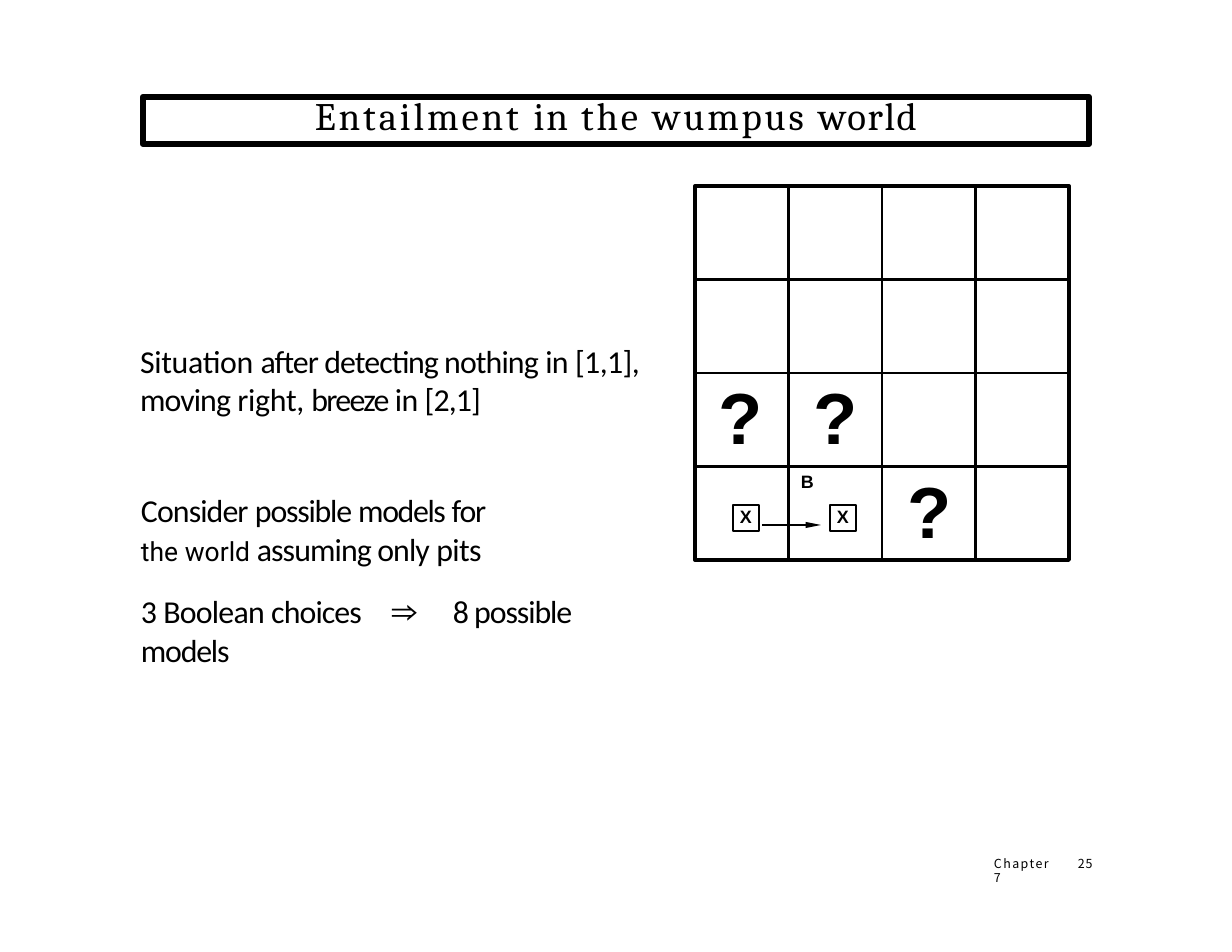
from lxml.etree import SubElement
from pptx import Presentation
from pptx.dml.color import RGBColor
from pptx.enum.shapes import MSO_CONNECTOR as CONN, MSO_SHAPE as SHAPE
from pptx.enum.text import MSO_ANCHOR as ANCHOR, PP_ALIGN as ALIGN
from pptx.oxml.ns import qn
from pptx.util import Emu, Pt

PX = 914400 / 112
COLORS = {"ink": "000000"}
STYLES = {
    "title": ("Cambria", 25, False),
    "body": ("Calibri", 20.5, False),
    "small": ("Roboto", 17, False),
    "symbol": ("Courier New", 20.5, False),
    "label": ("Arial", 11.5, True),
    "query": ("Arial", 46.5, True),
    "footer": ("Noto Sans CJK TC", 8, False),
}


def px(n):
    return Emu(round(n * PX))


class Deck:
    def __init__(self, prs):
        self.prs = prs
        self.ink = RGBColor.from_string(COLORS["ink"])
        self.slide = prs.slides.add_slide(prs.slide_layouts[6])
        self.shapes = self.slide.shapes

    def outline(self, sp, width):
        sp.shadow.inherit = False
        sp.fill.background()
        sp.line.color.rgb = self.ink
        sp.line.width = Pt(width)
        return sp

    def box(self, x, y, w, h, width):
        sp = self.shapes.add_shape(SHAPE.RECTANGLE, px(x), px(y), px(w), px(h))
        return self.outline(sp, width)

    def grid(self, x, y, side, count, width):
        xs = [px(x + side * i / count) for i in range(count + 1)]
        ys = [px(y + side * i / count) for i in range(count + 1)]
        fb = self.shapes.build_freeform(xs[0], ys[0])
        for top, bottom in zip(ys, ys[1:]):
            for left, right in zip(xs, xs[1:]):
                fb.move_to(left, top)
                fb.add_line_segments([(right, top), (right, bottom), (left, bottom)])
        self.outline(fb.convert_to_shape(), width)

    def arrow(self, x1, y1, x2, y2, width):
        c = self.shapes.add_connector(CONN.STRAIGHT, px(x1), px(y1), px(x2), px(y2))
        c.line.color.rgb = self.ink
        c.line.width = Pt(width)
        ln = c.line._get_or_add_ln()
        SubElement(ln, qn("a:tailEnd"), type="triangle", w="sm", len="lg")
        SubElement(c._element.spPr, qn("a:effectLst"))

    def fill_text(self, sp, style, paragraphs, left=0, top=0, align=ALIGN.LEFT):
        tf = sp.text_frame
        tf.word_wrap = True
        tf.vertical_anchor = ANCHOR.TOP
        tf.margin_left, tf.margin_top = px(left), px(top)
        tf.margin_right = tf.margin_bottom = 0
        for i, (runs, before, spacing, tabs) in enumerate(paragraphs):
            p = tf.add_paragraph() if i else tf.paragraphs[0]
            p.alignment = align
            p.space_before = Pt(before)
            p.line_spacing = spacing
            if tabs:
                lst = SubElement(p._p.get_or_add_pPr(), qn("a:tabLst"))
                for pos in tabs:
                    SubElement(lst, qn("a:tab"), pos=str(px(pos)), algn="l")
            for text, spc, *own in runs:
                self.run(p, text, spc, own[0] if own else style)

    def run(self, p, text, spc, style):
        name, size, bold = STYLES[style]
        r = p.add_run()
        r.text = text
        r.font.name, r.font.size, r.font.bold = name, Pt(size), bold
        r.font.color.rgb = self.ink
        r._r.get_or_add_rPr().set("spc", str(round(spc * 100)))

    def text(self, x, y, w, h, style, paragraphs, left=1, top=1):
        sp = self.shapes.add_textbox(px(x), px(y), px(w), px(h))
        self.fill_text(sp, style, paragraphs, left, top)


def para(*runs, before=0, spacing=1.0, tabs=()):
    return runs, before, spacing, tabs


def main():
    prs = Presentation()
    prs.slide_width, prs.slide_height = px(1232), px(952)
    d = Deck(prs)

    title = d.box(143, 97, 946, 47, 4.08)
    d.fill_text(title, "title", [para(
        ("Entailment ", 1.9), ("in ", 1.4), ("the ", 1.9), ("wumpus ", 1.8),
        ("world", 1.1), spacing=Pt(26.4))], align=ALIGN.CENTER)

    d.text(139, 340, 523, 81, "body", [para(
        ("Situation ", -0.2), ("after detecting nothing", -0.6), (" in ", -0.5),
        ("[1,1], ", -0.4), ("moving ", -0.6), ("right, ", -0.2),
        ("breeze ", -1.1), ("in ", -0.5), ("[2,1]", -0.6),
        before=0.8, spacing=1.01)])
    d.text(139, 489, 520, 142, "body", [
        para(("Consider ", -0.6), ("possible ", -0.8), ("models ", -0.9),
             ("for", -0.8), before=1.1),
        para(("the world ", 0, "small"), ("assuming only ", -0.6),
             ("pits", -0.4), before=0.3),
        para(("3 ", -0.7), ("Boolean ", -0.5), ("choices\t", -0.6),
             ("⇒\t", 1.4, "symbol"), ("8 possible ", -0.7), ("models", -0.8),
             before=15.4, tabs=(254, 312)),
    ], left=2, top=2)

    gx, gy, side = 695, 186, 374
    d.grid(gx, gy, side, 4, 1.67)
    d.box(gx, gy, side, side, 2.5)

    for x in (733, 830):
        d.box(x, 505, 26, 26, 0.84)
        d.text(x + 6, 505, 15, 25, "label", [para(("X", -0.1), before=0.9)])
    d.arrow(762, 525, 821, 525, 1.67)
    d.text(800, 469, 17, 25, "label", [para(("B", 0.1), before=1.2)], top=2)

    d.text(906, 464, 48, 91, "query", [para(("?", 0.2), before=1.4)], top=2)
    d.text(718, 370, 142, 91, "query",
           [para(("?\t?", 0.2), before=1.4, tabs=(95,))], top=2)

    d.text(993, 858, 62, 16, "footer",
           [para(("Chapter ", 0.9), ("7", 0.5), spacing=Pt(8.6))], top=0)
    d.text(1074, 858, 24, 16, "footer",
           [para(("25", 0.5), spacing=Pt(8.6))], left=4, top=0)

    prs.save("out.pptx")


if __name__ == "__main__":
    main()
